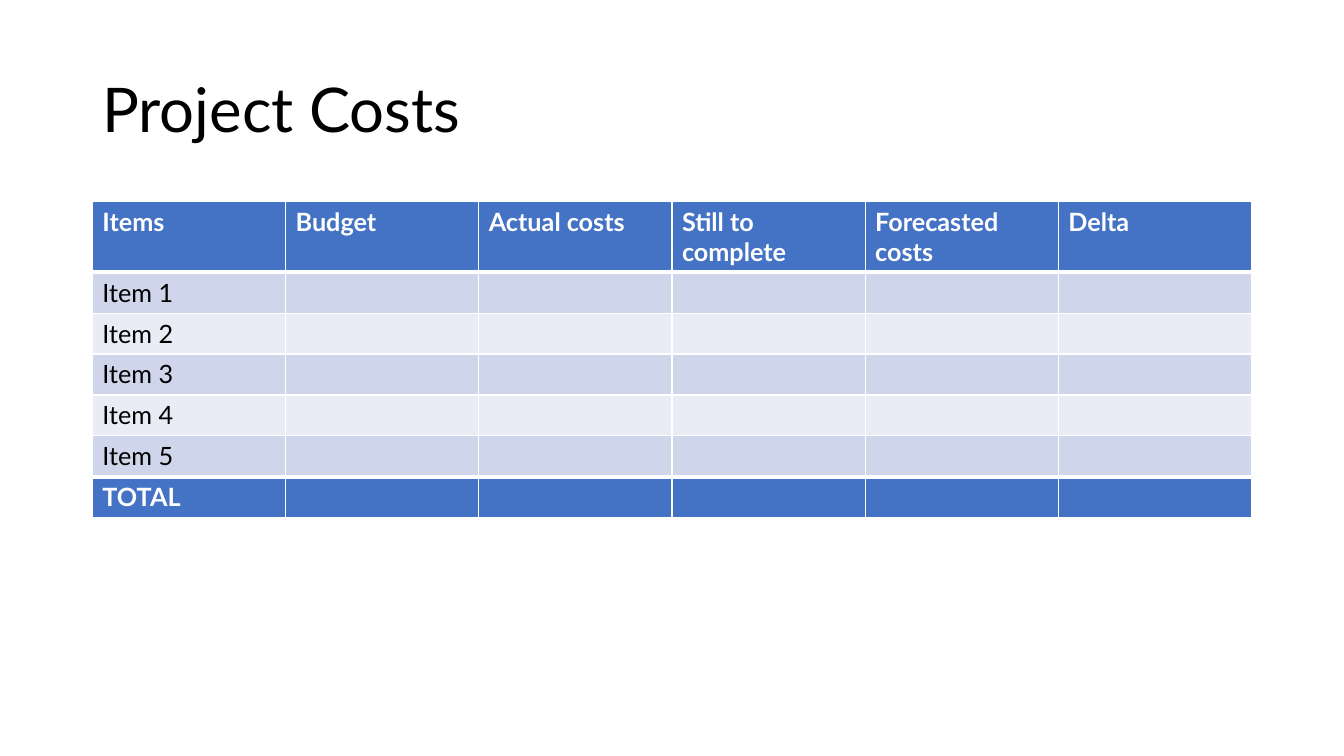
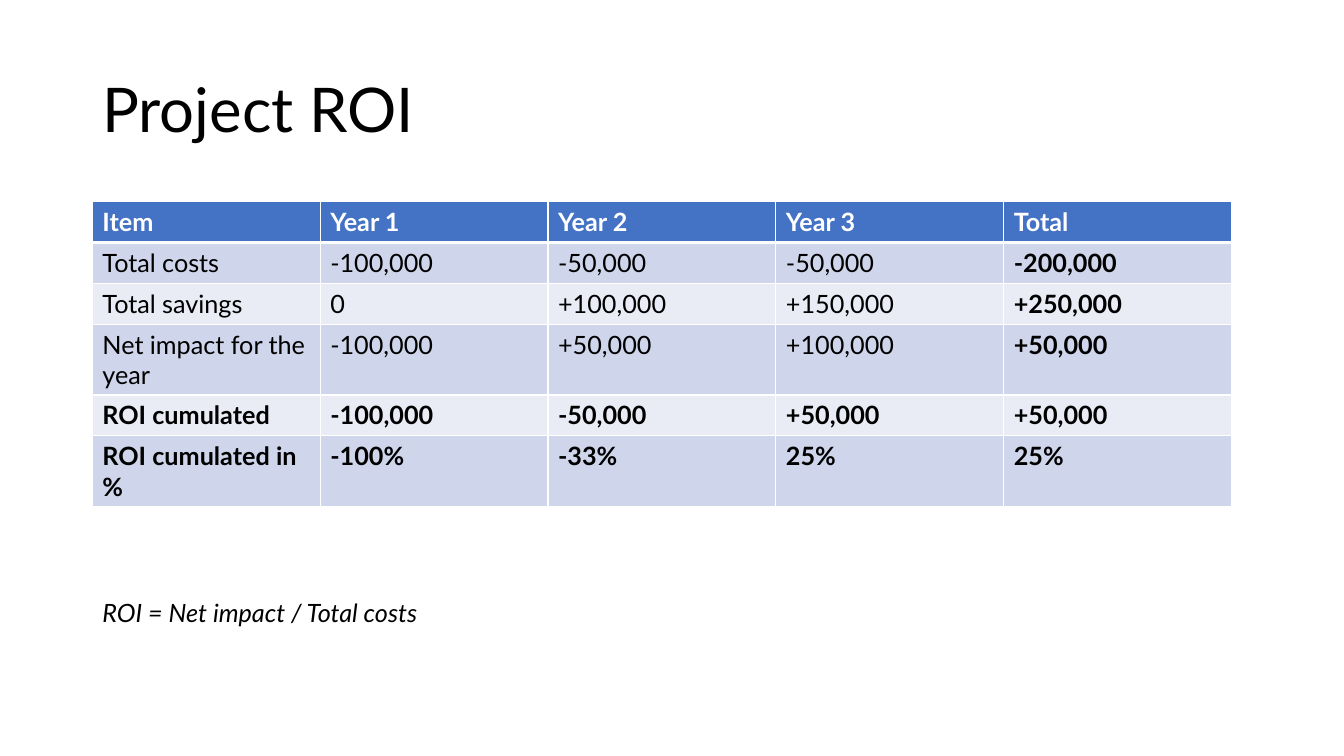
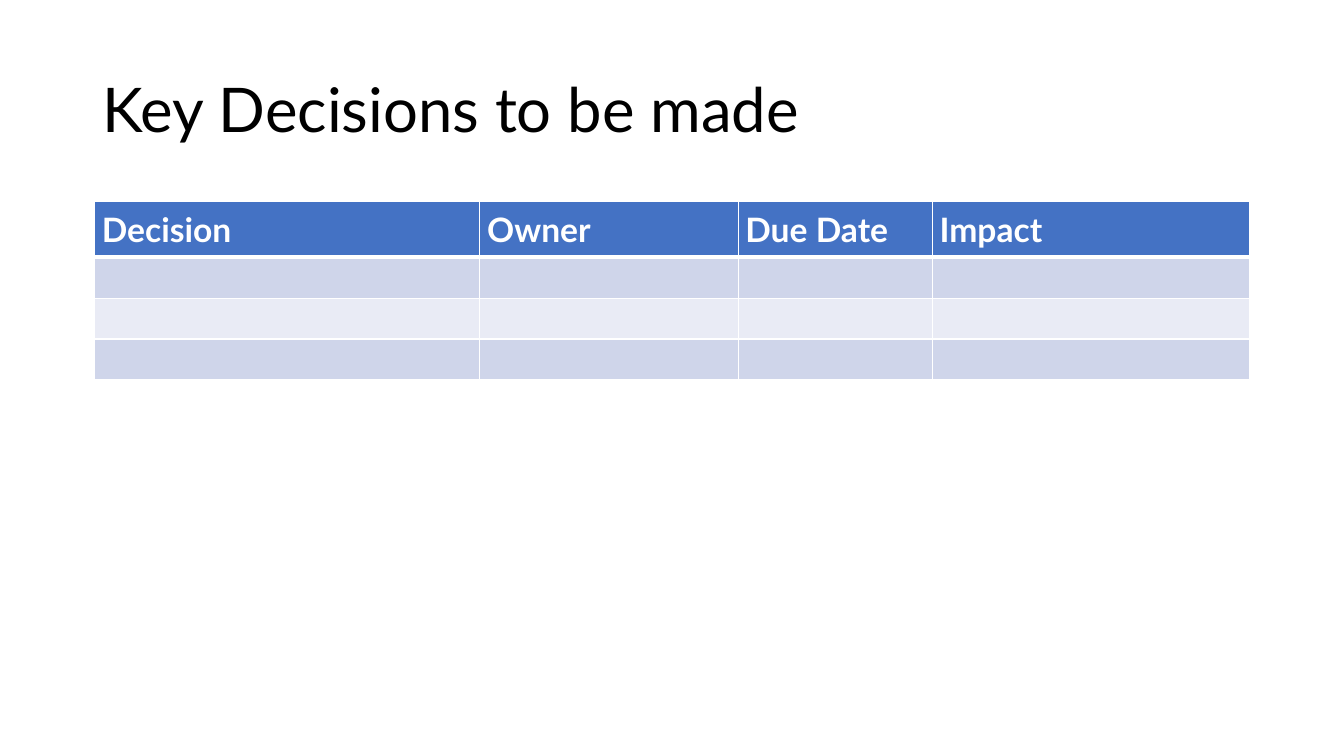
"""Build three project finance slides: costs, return on investment and key decisions."""
from dataclasses import dataclass

from lxml.etree import SubElement
from pptx import Presentation
from pptx.dml.color import RGBColor
from pptx.enum.text import MSO_ANCHOR, MSO_AUTO_SIZE, PP_ALIGN
from pptx.oxml.ns import qn
from pptx.util import Emu, Pt


@dataclass(frozen=True)
class Theme:
    font: str = "Lato"
    ink: str = "000000"
    paper: str = "FFFFFF"
    accent: str = "4472C4"
    bands: tuple = ("CFD5EA", "E9EBF5")
    title_size: int = 44
    heading_size: int = 24
    body_size: int = 18
    thin_rule: int = 1
    thick_rule: int = 3


THEME = Theme()
EMU_PER_PX = 9525
SLIDE_SIZE = (1280, 720)
TITLE_BOX = (88, 38, 1104, 139)
TABLE_TOP = 192
ROW_HEIGHT = 39

SLIDES = [
    {
        "title": "Project Costs",
        "left": 88,
        "columns": [184] * 6,
        "header": ["Items", "Budget", "Actual costs", "Still to complete",
                   "Forecasted costs", "Delta"],
        "rows": [["Item 1"], ["Item 2"], ["Item 3"], ["Item 4"], ["Item 5"], ["TOTAL"]],
        "has_total": True,
    },
    {
        "title": "Project ROI",
        "left": 88,
        "columns": [217] * 5,
        "header": ["Item", "Year 1", "Year 2", "Year 3", "Total"],
        "rows": [
            ["Total costs", "-100,000", "-50,000", "-50,000", "-200,000"],
            ["Total savings", "0", "+100,000", "+150,000", "+250,000"],
            ["Net impact for the year", "-100,000", "+50,000", "+100,000", "+50,000"],
            ["ROI cumulated", "-100,000", "-50,000", "+50,000", "+50,000"],
            ["ROI cumulated in %", "-100%", "-33%", "25%", "25%"],
        ],
        "bold_rows": (4, 5),
        "bold_columns": (4,),
        "note": ("ROI = Net impact / Total costs", (88, 564, 321, 38)),
    },
    {
        "title": "Key Decisions to be made",
        "left": 90,
        "columns": [367, 246, 185, 302],
        "header": ["Decision", "Owner", "Due Date", "Impact"],
        "rows": [[], [], []],
        "large_header": True,
    },
]


def px(length):
    return Emu(length * EMU_PER_PX)


def style(paragraph, size, color=THEME.ink, bold=False, italic=False):
    font = paragraph.font
    font.name = THEME.font
    font.size = Pt(size)
    font.bold = bold
    font.italic = italic
    font.color.rgb = RGBColor.from_string(color)


def add_title(slide, wording):
    title = slide.shapes.title
    title.left, title.top, title.width, title.height = map(px, TITLE_BOX)
    frame = title.text_frame
    frame.text = wording
    frame.word_wrap = True
    frame.auto_size = MSO_AUTO_SIZE.NONE
    frame.vertical_anchor = MSO_ANCHOR.MIDDLE
    paragraph = frame.paragraphs[0]
    paragraph.alignment = PP_ALIGN.LEFT
    paragraph.line_spacing = 0.9
    style(paragraph, THEME.title_size)


def set_borders(cell, top, bottom):
    properties = cell._tc.get_or_add_tcPr()
    widths = {"a:lnL": THEME.thin_rule, "a:lnR": THEME.thin_rule,
              "a:lnT": top, "a:lnB": bottom}
    for position, (tag, width) in enumerate(widths.items()):
        line = SubElement(properties, qn(tag), w=str(Pt(width)))
        fill = SubElement(line, qn("a:solidFill"))
        SubElement(fill, qn("a:srgbClr"), val=THEME.paper)
        properties.insert(position, line)


def add_grid(slide, content):
    columns = content["columns"]
    lines = [content["header"], *content["rows"]]
    has_total = content.get("has_total", False)
    large_header = content.get("large_header", False)
    heights = [53 if large_header else ROW_HEIGHT] + [ROW_HEIGHT] * len(content["rows"])
    accent_rows = {0, len(lines) - 1} if has_total else {0}
    thick_edges = {1, len(lines) - 1} if has_total else {1}
    edges = [THEME.thick_rule if edge in thick_edges else THEME.thin_rule
             for edge in range(len(lines) + 1)]

    grid = slide.shapes.add_table(
        len(lines), len(columns), px(content["left"]), px(TABLE_TOP),
        px(sum(columns)), px(sum(heights))).table
    grid.last_row = has_total
    for column, width in zip(grid.columns, columns):
        column.width = px(width)

    for r, line in enumerate(lines):
        grid.rows[r].height = px(heights[r])
        accented = r in accent_rows
        for c in range(len(columns)):
            cell = grid.cell(r, c)
            cell.text = line[c] if c < len(line) else ""
            cell.fill.solid()
            cell.fill.fore_color.rgb = RGBColor.from_string(
                THEME.accent if accented else THEME.bands[(r - 1) % 2])
            set_borders(cell, edges[r], edges[r + 1])
            size = THEME.body_size
            if large_header and r == 0:
                size = THEME.heading_size
                cell.margin_left = cell.margin_right = px(7)
                cell.margin_top = cell.margin_bottom = 0
                cell.vertical_anchor = MSO_ANCHOR.MIDDLE
            bold = (accented or r in content.get("bold_rows", ())
                    or c in content.get("bold_columns", ()))
            style(cell.text_frame.paragraphs[0], size,
                  THEME.paper if accented else THEME.ink, bold)


def add_note(slide, wording, box):
    frame = slide.shapes.add_textbox(*map(px, box)).text_frame
    frame.text = wording
    frame.word_wrap = False
    frame.auto_size = MSO_AUTO_SIZE.SHAPE_TO_FIT_TEXT
    style(frame.paragraphs[0], THEME.body_size, italic=True)


def main():
    deck = Presentation()
    deck.slide_width, deck.slide_height = map(px, SLIDE_SIZE)
    title_only = deck.slide_layouts.get_by_name("Title Only")
    for content in SLIDES:
        slide = deck.slides.add_slide(title_only)
        add_title(slide, content["title"])
        add_grid(slide, content)
        if "note" in content:
            add_note(slide, *content["note"])
    deck.save("out.pptx")


if __name__ == "__main__":
    main()
